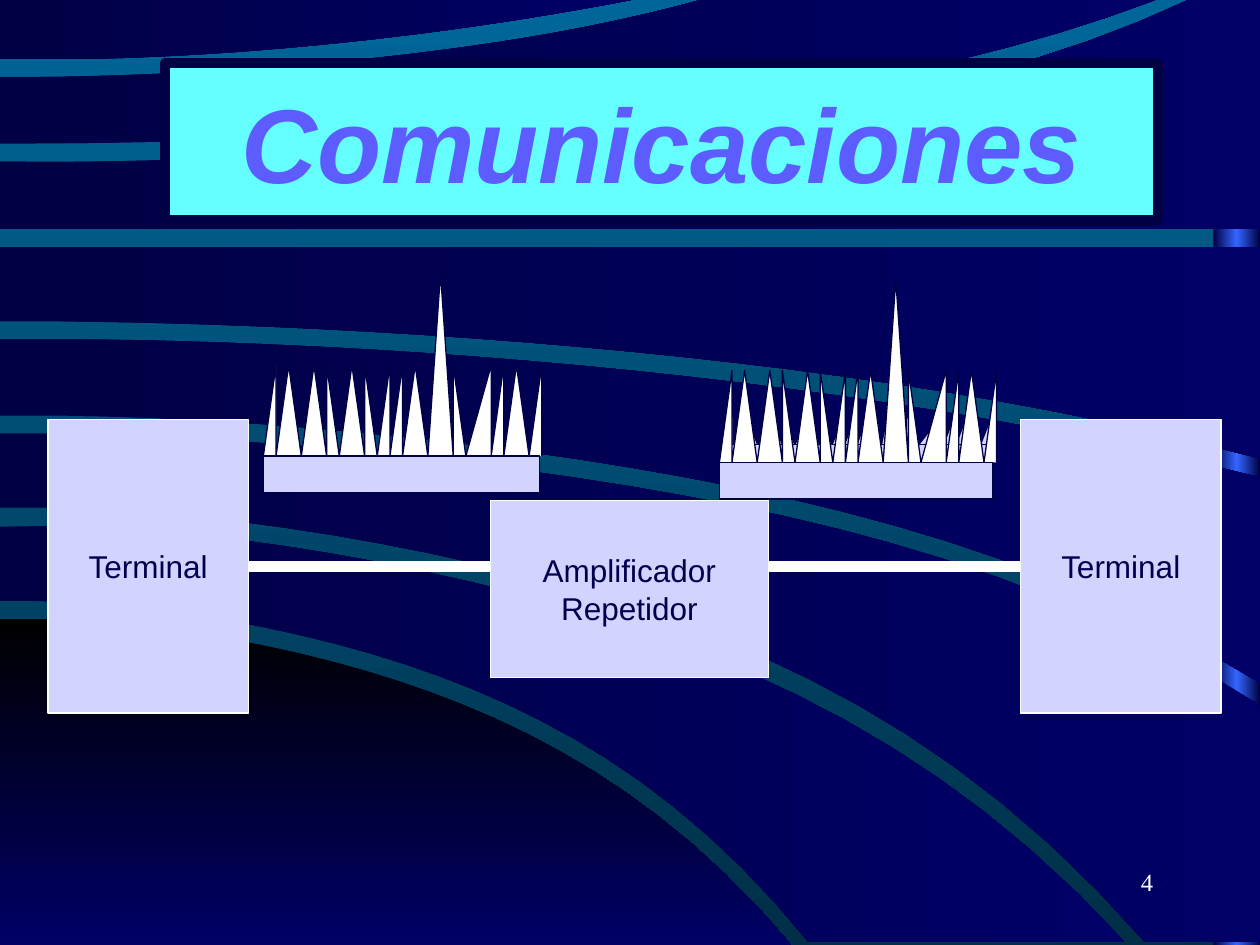
from copy import deepcopy
from itertools import accumulate
from math import prod
from pptx import Presentation
from pptx.dml.color import RGBColor
from pptx.enum.shapes import MSO_CONNECTOR, MSO_SHAPE
from pptx.enum.text import MSO_ANCHOR, PP_ALIGN
from pptx.oxml.ns import qn
from pptx.oxml.xmlchemy import OxmlElement
from pptx.util import Inches, Pt

prs = Presentation()
prs.slide_width, prs.slide_height = Inches(10), Inches(7.5)
slide = prs.slides.add_slide(prs.slide_layouts[6])
shapes = slide.shapes
rgb = RGBColor.from_string

NAVY, BLUE, LILAC, WHITE = "000044", "000066", "D3D3FF", "FFFFFF"


def add_box(x, y, w, h, fill, line, width, lines=(), size=18, color="00004D"):
    s = shapes.add_shape(MSO_SHAPE.RECTANGLE, Inches(x), Inches(y), Inches(w), Inches(h))
    s.shadow.inherit = False
    s.fill.solid()
    s.fill.fore_color.rgb = rgb(fill)
    s.line.color.rgb = rgb(line)
    s.line.width = Pt(width)
    if lines:
        tf = s.text_frame
        tf.text = "\n".join(lines)
        tf.word_wrap = False
        tf.vertical_anchor = MSO_ANCHOR.MIDDLE
        for p in tf.paragraphs:
            p.alignment = PP_ALIGN.CENTER
            p.font.name, p.font.size = "Arial", Pt(size)
            p.font.color.rgb = rgb(color)
    return s


def curve(width, *heights):
    n = len(heights) - 1
    count = 24 if n > 1 else 1
    pts = []
    for i in range(count + 1):
        t = n * i / count
        y = sum(h * prod((t - m) / (k - m) for m in range(n + 1) if m != k)
                for k, h in enumerate(heights))
        pts.append((width * i / count, y))
    return pts


fill = slide.background.fill
fill.gradient()
fill.gradient_angle = 270
for stop, color in zip(fill.gradient_stops, ["006699", "002F47"]):
    stop.color.rgb = rgb(color)

strip = shapes.add_shape(MSO_SHAPE.RECTANGLE, Inches(9.63), 0, Inches(0.37), Inches(7.5))
strip.shadow.inherit = False
strip.line.fill.background()
strip.fill.gradient()
strip.fill.gradient_angle = 0
stops = strip._element.spPr.find(".//" + qn("a:gsLst"))
stops.insert(1, deepcopy(stops[0]))
for i, (stop, color) in enumerate(zip(strip.fill.gradient_stops, [NAVY, "3366FF", NAVY])):
    stop.color.rgb = rgb(color)
    stop.position = i / 2

waves = [
    (curve(6.28, 4.91, 5.03, 5.4, 6.12, 7.5), [], curve(6.28, 7.5, 7.5)),
    (curve(8.93, 4.18, 4.33, 4.81, 5.71, 7.48), [], curve(6.42, 4.77, 4.89, 5.27, 6.02, 7.48)),
    (curve(10, 3.44, 3.55, 3.86, 4.44, 5.6), [(10, 7.48)],
     curve(9.09, 4.03, 4.19, 4.67, 5.6, 7.48)),
    (curve(10, 2.69, 2.75, 2.94, 3.27, 3.79), [], curve(10, 3.3, 3.4, 3.71, 4.29, 5.42)),
    (curve(10, 1.96, 1.96), [], curve(10, 2.55, 2.61, 2.79, 3.11, 3.64)),
    (curve(9.43, 1.28, 1.23, 1.07, 0.75, 0), [(10, 0)], curve(10, 1.82, 1.82)),
    (curve(5.56, 0.61, 0.58, 0.48, 0.3, 0), [], curve(9.17, 1.14, 1.09, 0.94, 0.63, 0)),
    (curve(5.01, 0, 0), [], curve(5.01, 0.47, 0.45, 0.36, 0.21, 0)),
]
for i, (upper, corner, lower) in enumerate(waves):
    pts = [(Inches(x), Inches(y)) for x, y in upper + corner + lower[::-1]]
    fb = shapes.build_freeform(*pts[0])
    fb.add_line_segments(pts[1:], close=True)
    s = fb.convert_to_shape()
    s.shadow.inherit = False
    s.line.fill.background()
    s.fill.gradient()
    s.fill.gradient_angle = 0 if i else 270
    for stop, color in zip(s.fill.gradient_stops, [NAVY if i else "000000", BLUE]):
        stop.color.rgb = rgb(color)

tb = shapes.add_textbox(Inches(7.17), Inches(6.83), Inches(2.08), Inches(0.5))
tb.text_frame.word_wrap = True
tb.text_frame.text = "4"
p = tb.text_frame.paragraphs[0]
p.alignment = PP_ALIGN.RIGHT
p.font.name, p.font.size = "Times New Roman", Pt(14)
p.font.color.rgb = rgb(WHITE)

title = add_box(1.31, 0.5, 7.88, 1.25, "66FFFF", NAVY, 6, ["Comunicaciones"], 60, "5C5CFF")
font = title.text_frame.paragraphs[0].font
font.bold = font.italic = True

left, right = [add_box(x, 3.33, 1.59, 2.33, LILAC, WHITE, 0.75, ["Terminal"])
               for x in (0.38, 8.1)]
cable = shapes.add_connector(MSO_CONNECTOR.STRAIGHT, 0, 0, 0, 0)
cable.begin_connect(left, 3)
cable.end_connect(right, 1)
cable.line.color.rgb = rgb(WHITE)
cable.line.width = Pt(6)
cable._element.spPr.append(OxmlElement("a:effectLst"))

steps = list(accumulate(map(int, "0101111011101101011110120101110")))
signals = [
    (2.09, 2.21, 2.17, 2.9, 3.62, WHITE, 2.19, 0.29),
    (5.72, 2.16, 3.04, 3.28, 3.53, LILAC, 2.14, 0.39),
    (5.71, 2.2, 2.22, 2.94, 3.67, WHITE, 2.17, 0.29),
]
for i, (x, w, top, peak, base, color, base_w, base_h) in enumerate(signals):
    if i == 2:
        add_box(3.89, 3.97, 2.21, 1.41, LILAC, WHITE, 0.75, ["Amplificador", "Repetidor"])
    pts = [(Inches(x + w * step / steps[-1]),
            Inches(top if step == 14 else peak if k % 2 else base))
           for k, step in enumerate(steps)]
    fb = shapes.build_freeform(*pts[0])
    fb.add_line_segments(pts[1:], close=False)
    s = fb.convert_to_shape()
    s.shadow.inherit = False
    s.fill.solid()
    s.fill.fore_color.rgb = rgb(color)
    s.line.color.rgb = rgb(NAVY)
    s.line.width = Pt(0.75)
    add_box(x, base, base_w, base_h, LILAC, NAVY, 0.75)

prs.save("out.pptx")
